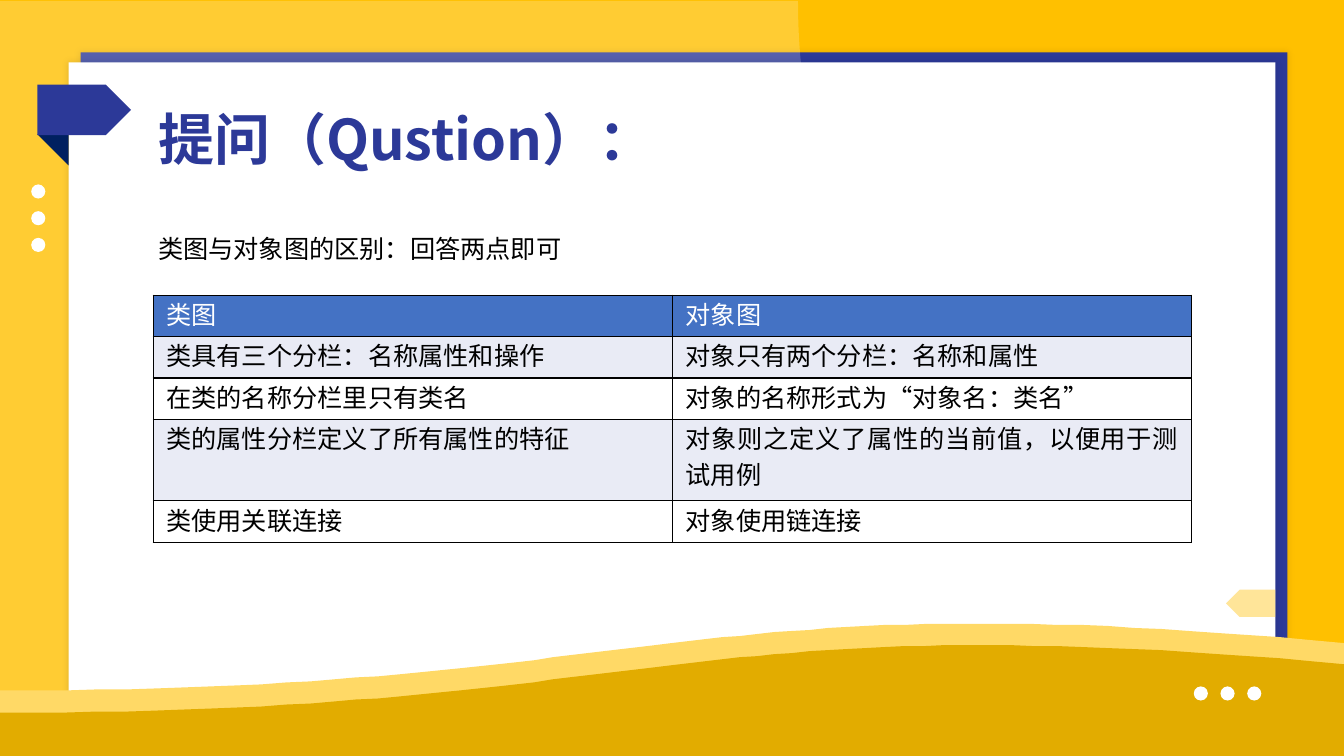
from lxml.etree import SubElement
from pptx import Presentation
from pptx.dml.color import RGBColor
from pptx.enum.shapes import MSO_SHAPE
from pptx.enum.text import MSO_ANCHOR, MSO_AUTO_SIZE, PP_ALIGN
from pptx.oxml import parse_xml
from pptx.oxml.ns import nsdecls, qn
from pptx.util import Pt

PX = 9144  # EMU per px, 100 px to the inch
WIDTH, HEIGHT = 1333, 750
FONT = "Noto Sans CJK SC"

AMBER = RGBColor(0xFF, 0xC0, 0x00)
PALE_AMBER = RGBColor(0xFF, 0xD9, 0x66)
DARK_AMBER = RGBColor(0xE2, 0xAC, 0x00)
INDIGO = RGBColor(0x2C, 0x39, 0x98)
NAVY = RGBColor(0x00, 0x20, 0x60)
BLUE = RGBColor(0x44, 0x72, 0xC4)
BAND = RGBColor(0xE9, 0xEB, 0xF5)
WHITE = RGBColor(0xFF, 0xFF, 0xFF)
BLACK = RGBColor(0x00, 0x00, 0x00)

ROWS = [
    ("类图", "对象图"),
    ("类具有三个分栏：名称属性和操作", "对象只有两个分栏：名称和属性"),
    ("在类的名称分栏里只有类名", "对象的名称形式为“对象名：类名”"),
    ("类的属性分栏定义了所有属性的特征", "对象则之定义了属性的当前值，以便用于测试用例"),
    ("类使用关联连接", "对象使用链连接"),
]
ROW_HEIGHTS = [41, 41, 41, 81, 41]


def box(*lengths):
    return [n * PX for n in lengths]


def paint(sp, color, alpha=None):
    sp.shadow.inherit = False
    sp.fill.solid()
    sp.fill.fore_color.rgb = color
    sp.line.fill.background()
    if alpha is not None:
        clr = sp.fill._xPr.find(qn("a:solidFill"))[0]
        SubElement(clr, qn("a:alpha")).set("val", str(alpha * 1000))


def add_shape(s, kind, at, color, rotation=0, alpha=None):
    sp = s.shapes.add_shape(kind, *box(*at))
    sp.rotation = rotation
    paint(sp, color, alpha)
    return sp


def add_panel(s, at, color):
    sp = add_shape(s, MSO_SHAPE.RECTANGLE, at, color)
    effects = sp._element.spPr.find(qn("a:effectLst"))
    effects.append(parse_xml(
        f'<a:outerShdw {nsdecls("a")} blurRad="{Pt(5)}" dist="0" dir="0">'
        '<a:srgbClr val="000000"><a:alpha val="10000"/></a:srgbClr></a:outerShdw>'))


def add_wave(s, ys, color, steps=60):
    """Fill below a cubic curve whose control points are evenly set at 0, 1/2, 1/2, 1."""
    points = []
    for i in range(steps + 1):
        t = i / steps
        weights = ((1 - t) ** 3, 3 * t * (1 - t) ** 2, 3 * t * t * (1 - t), t ** 3)
        x = WIDTH * ((weights[1] + weights[2]) / 2 + weights[3])
        points.append((x, sum(w * y for w, y in zip(weights, ys))))
    outline = s.shapes.build_freeform(0, HEIGHT, scale=PX)
    outline.add_line_segments(points + [(WIDTH, HEIGHT)], close=True)
    paint(outline.convert_to_shape(), color)


def add_dots(s, left, top, dx=0, dy=0):
    for i in range(3):
        add_shape(s, MSO_SHAPE.OVAL, (left + i * dx, top + i * dy, 14, 14), WHITE)


def write(tf, text, size=18, color=BLACK, bold=False, align=PP_ALIGN.LEFT,
          line_spacing=None, space=0):
    p = tf.paragraphs[0]
    p.alignment = align
    p.line_spacing = line_spacing
    p.space_before = p.space_after = Pt(space)
    r = p.add_run()
    r.text = text
    r.font.name, r.font.size, r.font.bold = FONT, Pt(size), bold
    r.font.color.rgb = color
    SubElement(r._r.get_or_add_rPr(), qn("a:ea")).set("typeface", FONT)


def fill_text_box(sp, at, text, **fmt):
    sp.left, sp.top, sp.width, sp.height = box(*at)
    tf = sp.text_frame
    tf.word_wrap = True
    tf.auto_size = MSO_AUTO_SIZE.SHAPE_TO_FIT_TEXT
    tf.vertical_anchor = MSO_ANCHOR.TOP
    write(tf, text, line_spacing=1.5, space=5, **fmt)


def set_borders(cell):
    tcPr = cell._tc.get_or_add_tcPr()
    for i, side in enumerate(("lnL", "lnR", "lnT", "lnB")):
        tcPr.insert(i, parse_xml(
            f'<a:{side} {nsdecls("a")} w="{Pt(1)}"><a:solidFill>'
            f'<a:srgbClr val="{BLACK}"/></a:solidFill></a:{side}>'))


def add_comparison(s, at):
    table = s.shapes.add_table(len(ROWS), 2, *box(*at)).table
    for i, (texts, height) in enumerate(zip(ROWS, ROW_HEIGHTS)):
        table.rows[i].height = height * PX
        fill = BLUE if i == 0 else BAND if i % 2 else WHITE
        for j, text in enumerate(texts):
            cell = table.cell(i, j)
            cell.margin_left = cell.margin_right = 13 * PX
            cell.margin_top = cell.margin_bottom = 0
            cell.fill.solid()
            cell.fill.fore_color.rgb = fill
            set_borders(cell)
            write(cell.text_frame, text, color=BLACK if i else WHITE,
                  align=PP_ALIGN.JUSTIFY)


def main():
    prs = Presentation()
    prs.slide_width, prs.slide_height = box(WIDTH, HEIGHT)
    s = prs.slides.add_slide(prs.slide_layouts[5])
    s.background.fill.solid()
    s.background.fill.fore_color.rgb = AMBER

    # Stacked panels
    add_panel(s, (80, 52, 1197, 627), INDIGO)
    add_shape(s, MSO_SHAPE.FLOWCHART_DOCUMENT, (119, -118, 749, 987), WHITE,
              rotation=270, alpha=20)
    add_panel(s, (68, 62, 1197, 627), WHITE)

    # Waves along the bottom
    add_wave(s, (685, 685, 575, 638), PALE_AMBER)
    add_wave(s, (707, 707, 597, 659), DARK_AMBER)

    # Dots and ribbons
    add_dots(s, 1184, 681, dx=26.5)
    add_dots(s, 31, 183, dy=26.5)
    add_shape(s, MSO_SHAPE.RIGHT_TRIANGLE, (37, 133, 31, 31), NAVY, rotation=180)
    add_shape(s, MSO_SHAPE.PENTAGON, (37, 84, 93, 50), INDIGO)
    add_shape(s, MSO_SHAPE.PENTAGON, (1216, 585, 49, 27), AMBER, rotation=180, alpha=40)

    # Title, brought in front of the panels
    title = s.shapes.title
    s.shapes._spTree.append(title._element)
    fill_text_box(title, (147, 65, 1040, 99), "提问（Qustion）：",
                  size=40, color=INDIGO, bold=True)

    # Comparison table and its question
    add_comparison(s, (152, 293, 1030, sum(ROW_HEIGHTS)))
    at = (147, 212, 667, 50)
    fill_text_box(s.shapes.add_textbox(*box(*at)), at, "类图与对象图的区别：回答两点即可")

    prs.save("out.pptx")


if __name__ == "__main__":
    main()
